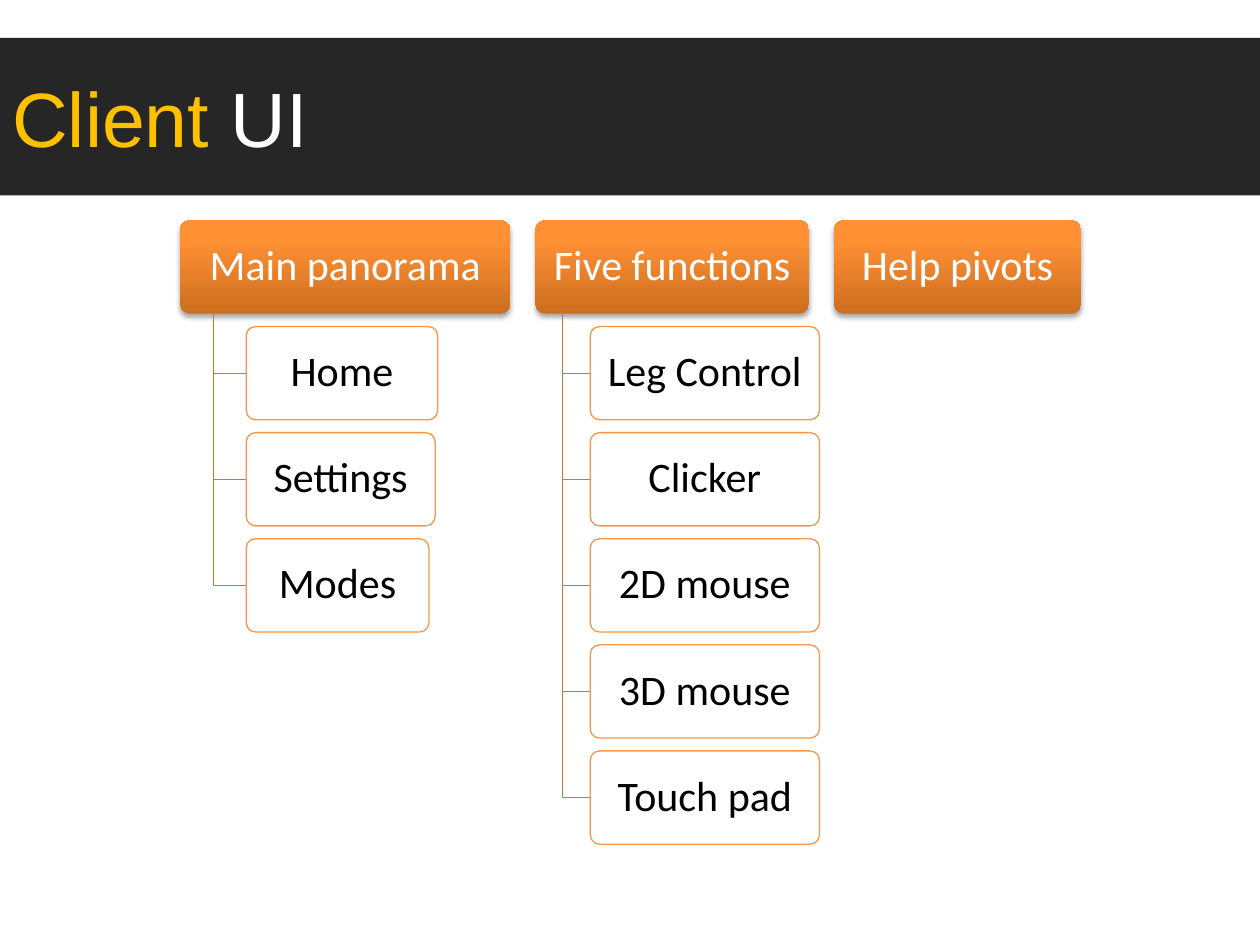
"""Build the "Client UI" slide: three headed columns of a menu hierarchy."""
from lxml.etree import SubElement
from pptx import Presentation
from pptx.dml.color import RGBColor
from pptx.enum.shapes import MSO_SHAPE
from pptx.enum.text import MSO_ANCHOR, PP_ALIGN
from pptx.oxml import parse_xml
from pptx.oxml.ns import nsdecls, qn
from pptx.util import Inches, Pt

BLACK = RGBColor(0x00, 0x00, 0x00)
WHITE = RGBColor(0xFF, 0xFF, 0xFF)
CHARCOAL = RGBColor(0x26, 0x26, 0x26)
GOLD = RGBColor(0xFF, 0xC0, 0x00)
ORANGE = RGBColor(0xF7, 0x96, 0x46)
BROWN = RGBColor(0xC6, 0x78, 0x38)
GRADIENT = [(0, RGBColor(0xCC, 0x6E, 0x20)), (80, RGBColor(0xFF, 0x90, 0x34)),
            (100, RGBColor(0xFF, 0x91, 0x36))]

LEFT, TOP = 1.43, 1.75
BOX_H, ROW, GAP = 0.74, 4.21 / 5, 0.2
COLUMNS = [
    ("Main panorama", 2.62, [("Home", 1.52), ("Settings", 1.5), ("Modes", 1.45)]),
    ("Five functions", 2.17, [(name, 1.82) for name in (
        "Leg Control", "Clicker", "2D mouse", "3D mouse", "Touch pad")]),
    ("Help pivots", 1.96, []),
]


def add_run(p, text, font, size, color):
    r = p.add_run()
    r.text = text
    r.font.name = font
    r.font.size = Pt(size)
    r.font.color.rgb = color


def add_box(x, y, width, text, color):
    sp = s.shapes.add_shape(MSO_SHAPE.ROUNDED_RECTANGLE, Inches(x), Inches(y),
                            Inches(width), Inches(BOX_H))
    sp.adjustments[0] = 0.1
    sp.shadow.inherit = False
    tf = sp.text_frame
    tf.word_wrap = True
    tf.vertical_anchor = MSO_ANCHOR.MIDDLE
    tf.margin_left = tf.margin_right = Inches(0.07)
    tf.margin_top = tf.margin_bottom = Inches(0.05)
    p = tf.paragraphs[0]
    p.alignment = PP_ALIGN.CENTER
    p.line_spacing = 0.9
    add_run(p, text, "Calibri", 24, color)
    return sp


prs = Presentation()
prs.slide_width, prs.slide_height = Inches(10), Inches(7.5)
s = prs.slides.add_slide(prs.slide_layouts[6])

title = s.shapes.add_shape(MSO_SHAPE.RECTANGLE, 0, Inches(0.3),
                           prs.slide_width, Inches(1.25))
title.shadow.inherit = False
title.fill.solid()
title.fill.fore_color.rgb = CHARCOAL
title.line.fill.background()
title.text_frame.word_wrap = True
title.text_frame.vertical_anchor = MSO_ANCHOR.MIDDLE
p = title.text_frame.paragraphs[0]
p.alignment = PP_ALIGN.LEFT
add_run(p, "Client", "Arial", 44, GOLD)
add_run(p, " UI", "Arial", 44, WHITE)

stops = "".join(f'<a:gs pos="{pos * 1000}"><a:srgbClr val="{color}"/></a:gs>'
                for pos, color in GRADIENT)
x = LEFT
for heading, width, items in COLUMNS:
    header = add_box(x, TOP, width, heading, WHITE)
    header.line.fill.background()
    spPr = header.element.spPr
    spPr.find(qn("a:prstGeom")).addnext(parse_xml(
        f'<a:gradFill {nsdecls("a")} rotWithShape="1"><a:gsLst>{stops}</a:gsLst>'
        '<a:lin ang="16200000" scaled="0"/></a:gradFill>'))
    shadow = SubElement(spPr.find(qn("a:effectLst")), qn("a:outerShdw"),
                        blurRad=str(Pt(3.1)), dist=str(Pt(1.8)),
                        dir="5400000", rotWithShape="0")
    shade = SubElement(shadow, qn("a:srgbClr"), val=str(BLACK))
    SubElement(shade, qn("a:alpha"), val="35000")

    trunk, indent = x + 0.1 * width, x + 0.2 * width
    for row, (name, item_width) in enumerate(items, 1):
        y = TOP + row * ROW
        middle = y + BOX_H / 2
        path = s.shapes.build_freeform(Inches(trunk), Inches(TOP + BOX_H))
        path.add_line_segments([(Inches(trunk), Inches(middle)),
                                (Inches(indent), Inches(middle))], close=False)
        branch = path.convert_to_shape()
        branch.shadow.inherit = False
        branch.fill.background()
        branch.line.color.rgb = BROWN
        branch.line.width = Pt(0.75)

        item = add_box(indent, y, item_width, name, BLACK)
        item.fill.solid()
        item.fill.fore_color.rgb = WHITE
        fill = item.element.spPr.find(qn("a:solidFill"))
        SubElement(fill[0], qn("a:alpha"), val="90000")
        item.line.color.rgb = ORANGE
        item.line.width = Pt(0.75)
    x += width + GAP

prs.save("out.pptx")
